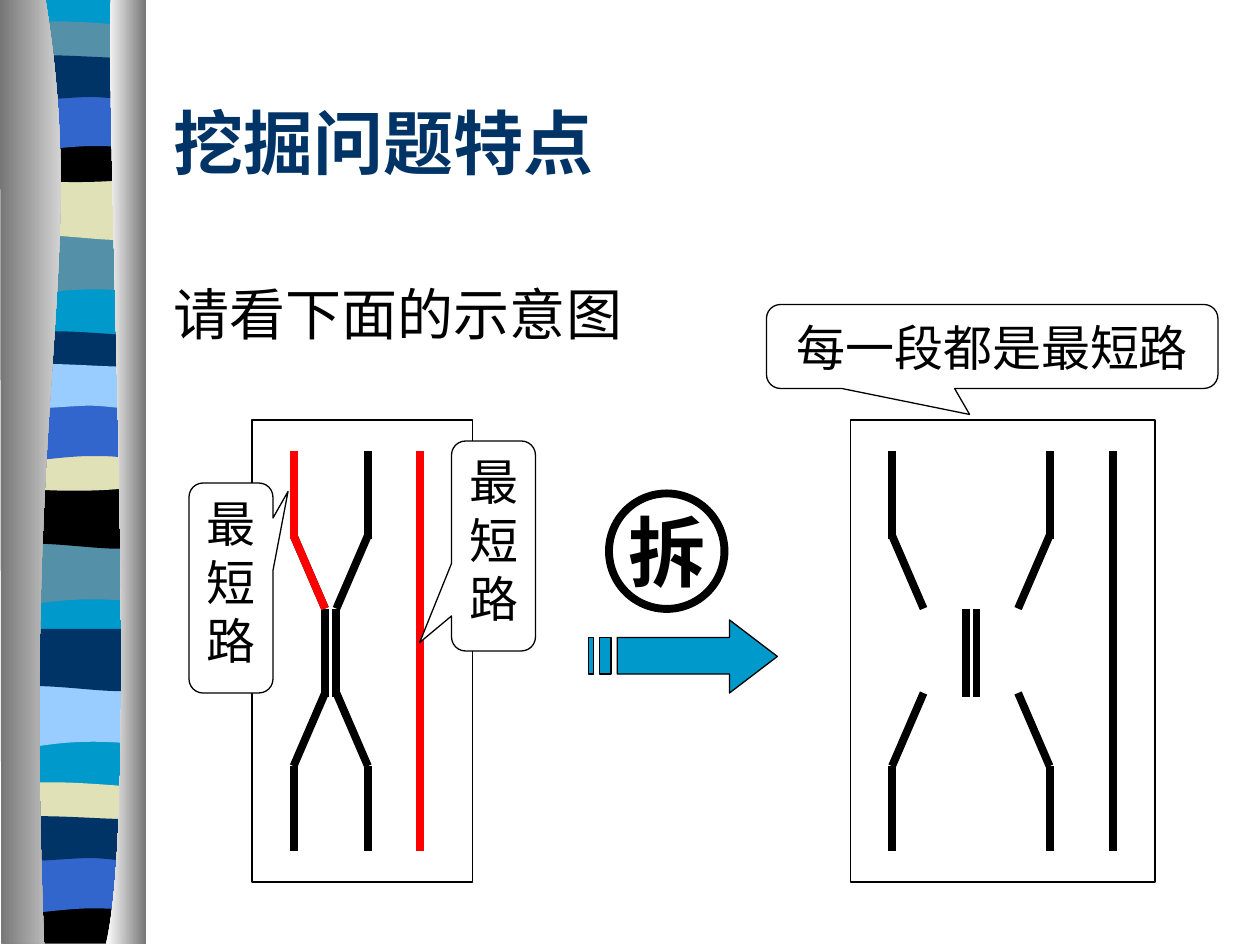
from lxml import etree
from pptx import Presentation
from pptx.dml import color
from pptx.enum import shapes, text
from pptx.oxml import ns
from pptx.util import Inches, Pt

BLACK, WHITE, RED = "000000", "FFFFFF", "FF0000"
NAVY, SKY, TEAL = "003366", "0099CC", "5490A8"
BLUE, CREAM, PALE = "3366CC", "E1E1B7", "99CCFF"

PROFILES = {
    "ripple": [(1.08, 0), (1.08, 0.47), (0.33, 0.39, 0.18, 0.55, 0, 0.47), (0, 0)],
    "swell": [(1.08, 0), (1.08, 0.47), (0.9, 0.55, 0.33, 0.41, 0, 0.47), (0, 0)],
    "lens": [(1.08, 0.05), (1.08, 0.29), (0.9, 0.33, 0.18, 0.33, 0, 0.29), (0, 0.05),
             (0.06, 0, 0.23, 0.01, 0.41, 0.01), (0.59, 0.01, 0.94, 0.04, 1.08, 0.05)],
    "bowl": [(1.08, 0), (1.08, 0.32), (0.9, 0.38, 0.18, 0.38, 0, 0.32), (0, 0),
             (0.66, 0.05, 0.85, 0, 1.08, 0)],
    "arch": [(1.08, 0), (1.08, 0.47), (0.91, 0.42, 0.84, 0.42, 0.66, 0.42),
             (0.48, 0.42, 0.16, 0.47, 0, 0.47), (0, 0)],
    "wave": [(1.08, 0.05), (1.08, 0.36), (1.01, 0.41, 0.84, 0.36, 0.66, 0.36),
             (0.48, 0.36, 0.11, 0.41, 0, 0.36), (0, 0.05),
             (0.15, 0, 0.73, 0.05, 0.91, 0.05), (1.09, 0.05, 1.04, 0.05, 1.08, 0.05)],
    "floor": [(1.08, 0), (1.08, 0.37), (0, 0.37), (0, 0), (0.66, 0.05, 0.85, 0, 1.08, 0)],
}
BANDS = [
    ("ripple", 0.06, 1.85, TEAL), ("swell", 0.06, 1.41, CREAM), ("lens", 0.06, 0.16, TEAL),
    ("bowl", 0.06, 1.08, BLACK), ("arch", 0.06, 0.74, BLUE), ("wave", 0.06, 0.41, NAVY),
    ("ripple", 0.05, 4.31, TEAL), ("swell", 0.05, 3.86, BLACK), ("lens", 0.05, 2.62, NAVY),
    ("bowl", 0.05, 3.53, CREAM), ("arch", 0.05, 3.2, BLUE), ("wave", 0.05, 2.86, PALE),
    ("ripple", 0.06, 5.44, PALE), ("swell", 0.06, 4.99, NAVY), ("lens", 0.05, 6.2, CREAM),
    ("floor", 0.05, 7.12, BLACK), ("arch", 0.05, 6.79, BLUE), ("wave", 0.05, 6.45, NAVY),
]
BACKDROP = [(1.14, -0.01), (1.14, 7.47), (0.06, 7.47), (0.06, -0.01)]
LEFT_PILLAR = [(0.36, -0.01), (0.71, 2.16, 0.17, 2.96, 0.35, 7.49), (0.01, 7.49), (0, -0.01)]
RIGHT_PILLAR = [(0.88, -0.01), (0.84, 1.25, 1.11, 6.46, 0.84, 7.49), (1.16, 7.49), (1.16, 0)]
ARROW = [
    [(4.9, 5.06), (5.79, 5.06), (5.79, 4.92), (6.17, 5.21), (5.79, 5.5), (5.79, 5.35), (4.9, 5.35)],
    [(4.67, 5.06), (4.71, 5.06), (4.71, 5.35), (4.67, 5.35)],
    [(4.76, 5.06), (4.85, 5.06), (4.85, 5.35), (4.76, 5.35)],
]


def rgb(value):
    return color.RGBColor.from_string(value)


def paint(shape, fill=None, line=None, width=0.75):
    shape.shadow.inherit = False
    if fill:
        shape.fill.solid()
        shape.fill.fore_color.rgb = rgb(fill)
    else:
        shape.fill.background()
    if line:
        shape.line.color.rgb = rgb(line)
        shape.line.width = Pt(width)
    else:
        shape.line.fill.background()


def bend(shape, entries):
    segments = iter(list(shape._element.iter(ns.qn("a:lnTo"))))
    for entry in entries:
        segment = next(segments)
        if len(entry) == 6:
            curve = etree.Element(ns.qn("a:cubicBezTo"))
            segment.addprevious(curve)
            for part in (segment, next(segments), next(segments)):
                curve.append(part[0])
                part.getparent().remove(part)


def add_outline(page, contours, left=0, top=0):
    builder = None
    for contour in contours:
        points = [(Inches(left + entry[i]), Inches(top + entry[i + 1]))
                  for entry in contour for i in range(0, len(entry), 2)]
        if builder is None:
            builder = page.shapes.build_freeform(*points[0])
        else:
            builder.move_to(*points[0])
        builder.add_line_segments(points[1:], close=True)
    shape = builder.convert_to_shape()
    bend(shape, [entry for contour in contours for entry in contour[1:]])
    return shape


def add_pillar(page, profile, colours):
    pillar = add_outline(page, [profile])
    paint(pillar)
    pillar.fill.gradient()
    pillar.fill.gradient_angle = 0
    for stop, value in zip(pillar.fill.gradient_stops, colours):
        stop.color.rgb = rgb(value)
    return pillar


def add_border(page, master):
    pieces = [add_outline(page, [BACKDROP])]
    paint(pieces[0], SKY)
    for profile, left, top, colour in BANDS:
        band = add_outline(page, [PROFILES[profile]], left, top)
        paint(band, colour)
        pieces.append(band)
    pieces.append(add_pillar(page, LEFT_PILLAR, ("767676", WHITE)))
    pieces.append(add_pillar(page, RIGHT_PILLAR, (WHITE, "767676")))
    for index, piece in enumerate(pieces):
        piece._element.nvSpPr.cNvPr.set("id", str(100 + index))
        master.shapes._spTree.insert(2 + index, piece._element)


def write(shape, words, font, align, anchor, wrap=True):
    frame = shape.text_frame
    settings = {"word_wrap": wrap, "auto_size": text.MSO_AUTO_SIZE.NONE, "vertical_anchor": anchor}
    for name, value in settings.items():
        setattr(frame, name, value)
    para = frame.paragraphs[0]
    para.alignment = align
    span = para.add_run()
    span.text = words
    span.font.color.rgb = rgb(font.get("colour", BLACK))
    for name in ("name", "size", "bold"):
        setattr(span.font, name, font.get(name))
    return para


def fill_placeholder(shape, bounds, words, font, anchor):
    shape.left, shape.top, shape.width, shape.height = map(Inches, bounds)
    para = write(shape, words, font, text.PP_ALIGN.LEFT, anchor)
    para.space_before = Pt(0)
    properties = para._p.get_or_add_pPr()
    properties.set("marL", "0")
    properties.set("indent", "0")
    etree.SubElement(properties, ns.qn("a:buNone"))


def snap(value):
    return Inches(round(value * 12) / 12)


def add_preset(page, kind, bounds, fill=None, width=0.75):
    shape = page.shapes.add_shape(kind, *map(snap, bounds))
    paint(shape, fill, BLACK, width)
    return shape


def add_callout(page, bounds, tip, words, anchor):
    box = add_preset(page, shapes.MSO_SHAPE.ROUNDED_RECTANGULAR_CALLOUT, bounds, WHITE)
    box.adjustments[0], box.adjustments[1] = tip
    write(box, words, {"name": "Times New Roman", "size": Pt(28)}, text.PP_ALIGN.CENTER, anchor)


def add_stroke(page, start, end, colour=BLACK):
    stroke = page.shapes.add_connector(
        shapes.MSO_CONNECTOR.STRAIGHT, *map(Inches, (*start, *end)))
    stroke.line.color.rgb = rgb(colour)
    stroke.line.width = Pt(4.5)
    etree.SubElement(stroke._element.spPr, ns.qn("a:effectLst"))


def add_upper_path(page, x, lean, colour=BLACK):
    add_stroke(page, (x, 3.58), (x, 4.28), colour)
    add_stroke(page, (x, 4.25), (x + lean, 4.83), colour)


def add_diagram(page, frame, left, right, middle, straight):
    add_preset(page, shapes.MSO_SHAPE.RECTANGLE, frame)
    for x, lean in ((left, 0.25), (right, -0.25)):
        add_upper_path(page, x, lean)
        add_stroke(page, (x, 6.75), (x, 6.08))
        add_stroke(page, (x, 6.08), (x + lean, 5.5))
    for x in middle:
        add_stroke(page, (x, 4.83), (x, 5.53))
    add_stroke(page, (straight, 3.58), (straight, 6.75))


def main():
    deck = Presentation()
    deck.slide_width, deck.slide_height = Inches(10), Inches(7.5)
    page = deck.slides.add_slide(deck.slide_layouts[1])
    top, centre = text.MSO_ANCHOR.TOP, text.MSO_ANCHOR.MIDDLE
    add_border(page, deck.slide_master)
    title_font = {"name": "Roboto Condensed", "size": Pt(40), "bold": True, "colour": NAVY}
    fill_placeholder(page.shapes.title, (1.28, 0.5, 8.5, 1.25), "挖掘问题特点", title_font, centre)
    fill_placeholder(page.placeholders[1], (1.28, 2.17, 6.88, 0.67), "请看下面的示意图",
                     {"name": "Arial", "size": Pt(32)}, top)

    add_diagram(page, (2, 3.33, 1.75, 3.67), 2.33, 2.92, (2.58, 2.67), 3.33)
    add_stroke(page, (3.33, 3.58), (3.33, 6.75), RED)
    add_callout(page, (3.58, 3.5, 0.67, 1.67), (-0.88, 0.46), "最短路", top)
    add_callout(page, (1.5, 3.83, 0.67, 1.67), (0.68, -0.46), "最短路", top)

    add_diagram(page, (6.75, 3.33, 2.42, 3.67), 7.08, 8.33, (7.67, 7.75), 8.83)
    paint(add_outline(page, ARROW), SKY, BLACK)
    badge = add_preset(page, shapes.MSO_SHAPE.OVAL, (4.83, 3.92, 0.92, 0.92), width=4.5)
    write(badge, "拆", {"name": "Times New Roman", "size": Pt(44), "bold": True},
          text.PP_ALIGN.CENTER, centre, wrap=False)
    add_callout(page, (6.08, 2.42, 3.58, 0.67), (-0.05, 0.81), "每一段都是最短路", centre)
    add_upper_path(page, 2.33, 0.25, RED)
    deck.save("out.pptx")


if __name__ == "__main__":
    main()
